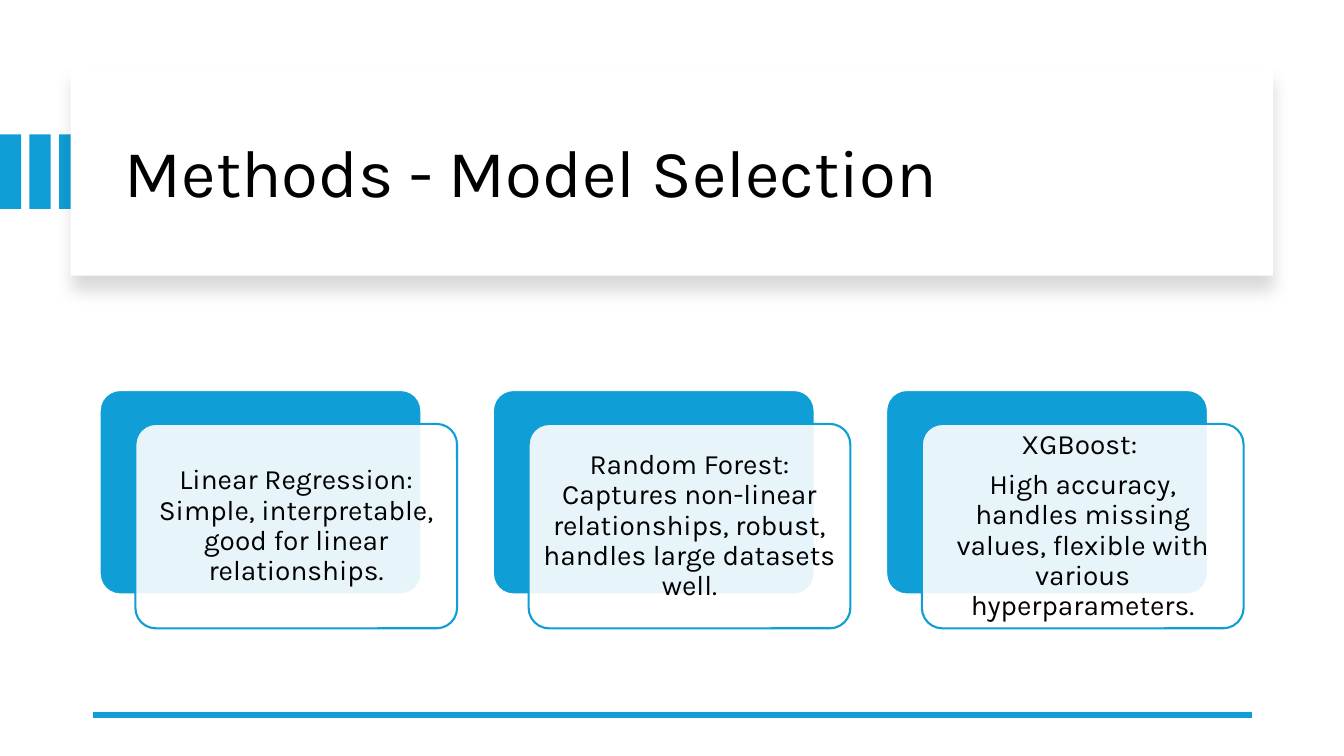
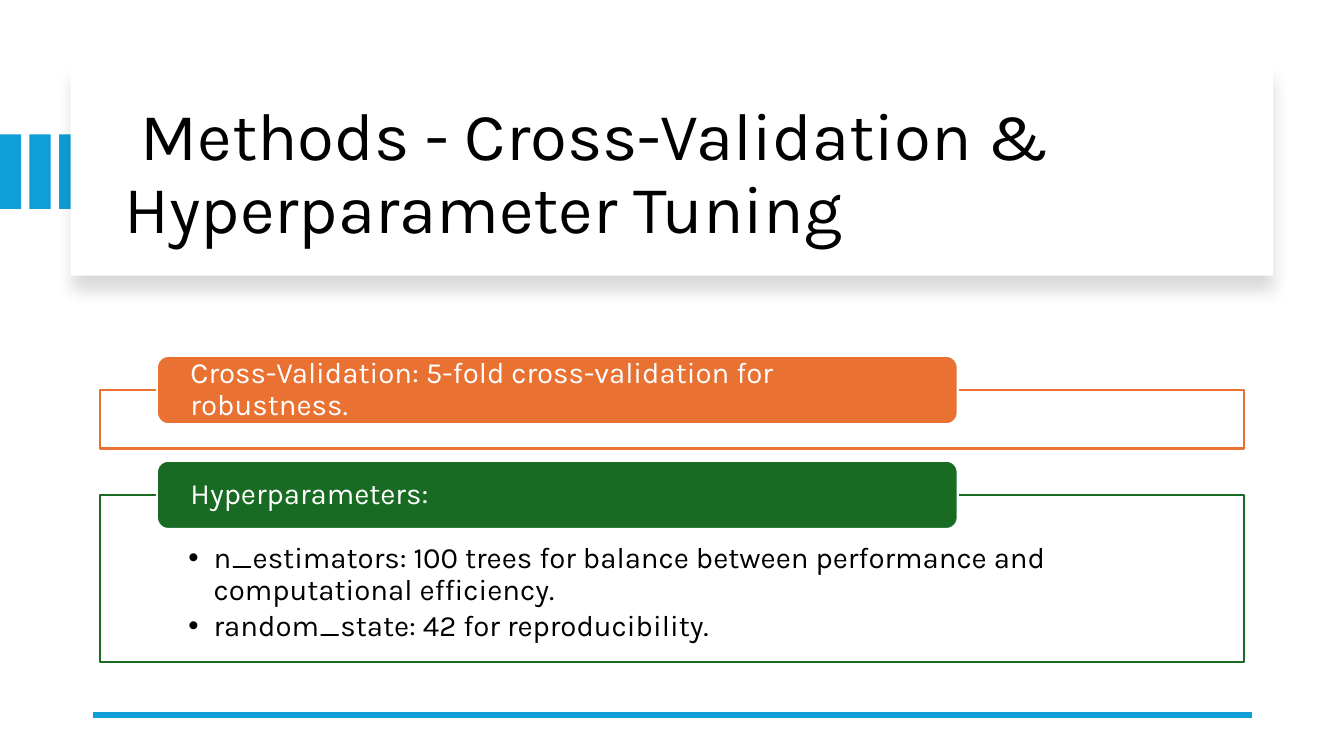
from lxml import etree
from pptx import Presentation
from pptx.dml.color import RGBColor
from pptx.enum.shapes import MSO_CONNECTOR, MSO_SHAPE
from pptx.enum.text import MSO_ANCHOR as Anchor, PP_ALIGN as Align
from pptx.oxml.ns import qn
from pptx.util import Pt

BLUE = RGBColor(0x0F, 0x9E, 0xD5)
ORANGE = RGBColor(0xE9, 0x71, 0x32)
GREEN = RGBColor(0x19, 0x6B, 0x24)
WHITE = RGBColor(0xFF, 0xFF, 0xFF)
BLACK = RGBColor(0x00, 0x00, 0x00)
FONT = "Karla"

TITLE_PANEL = (50.5, 48, 859, 149)
CONTENT_LEFT, CONTENT_TOP, CONTENT_WIDTH = 71.2, 278.6, 817.2

MODELS = [
    ["Linear Regression: Simple, interpretable, good for linear relationships."],
    ["Random Forest: Captures non-linear relationships, robust, "
     "handles large datasets well."],
    ["XGBoost: ",
     "High accuracy, handles missing values, flexible with various hyperparameters."],
]
SECTIONS = [
    ("Cross-Validation: 5-fold cross-validation for robustness.", [], ORANGE, 41.8),
    ("Hyperparameters:",
     ["n_estimators: 100 trees for balance between performance and "
      "computational efficiency.",
      "random_state: 42 for reproducibility."], GREEN, 119.5),
]


def add_xml(parent, tag, **attributes):
    return etree.SubElement(parent, qn(tag), attributes)


def set_text(shape, paragraphs, size, color=BLACK, align=Align.LEFT,
             anchor=Anchor.MIDDLE, insets=(7.2, 3.6, 7.2, 3.6),
             space_after=0, bullet=False):
    frame = shape.text_frame
    frame.word_wrap = True
    frame.vertical_anchor = anchor
    (frame.margin_left, frame.margin_top,
     frame.margin_right, frame.margin_bottom) = map(Pt, insets)
    for index, text in enumerate(paragraphs):
        paragraph = frame.add_paragraph() if index else frame.paragraphs[0]
        paragraph.alignment = align
        paragraph.line_spacing = 0.9
        paragraph.space_after = Pt(space_after)
        if bullet:
            properties = paragraph._p.get_or_add_pPr()
            properties.set("marL", str(Pt(18)))
            properties.set("indent", str(Pt(-18)))
            add_xml(properties, "a:buFont", typeface="Arial")
            add_xml(properties, "a:buChar", char="•")
        run = paragraph.add_run()
        run.text = text
        run.font.name = FONT
        run.font.size = Pt(size)
        run.font.color.rgb = color


def add_box(slide, box, fill, line=None, kind=MSO_SHAPE.RECTANGLE,
            opacity=100, corner=None):
    shape = slide.shapes.add_shape(kind, *map(Pt, box))
    shape.shadow.inherit = False
    shape.fill.solid()
    shape.fill.fore_color.rgb = fill
    if opacity < 100:
        color = shape._element.spPr.find(qn("a:solidFill"))[0]
        add_xml(color, "a:alpha", val=str(opacity * 1000))
    if line is None:
        shape.line.fill.background()
    else:
        shape.line.color.rgb = line
        shape.line.width = Pt(1.5)
    if corner is not None:
        shape.adjustments[0] = corner
    return shape


def add_soft_shadow(shape):
    effects = shape._element.spPr.find(qn("a:effectLst"))
    shadow = add_xml(effects, "a:outerShdw", blurRad=str(Pt(11)),
                     dist=str(Pt(10)), dir="5400000", algn="t", rotWithShape="0")
    color = add_xml(shadow, "a:srgbClr", val=str(BLACK))
    add_xml(color, "a:alpha", val="15000")


def add_title(slide, title, box):
    """Blue bars running under a shadowed panel that holds the title."""
    left, top, width, height = box
    for index in range(3):
        add_box(slide, (index * 21.1, top + 48, 15.2, 53.2), BLUE)
    add_soft_shadow(add_box(slide, box, WHITE))
    heading = slide.shapes.add_textbox(
        Pt(left + 31.6), Pt(top + 16), Pt(width - 57.5), Pt(height - 26.6))
    set_text(heading, [title], 48)


def add_footer_rule(slide, left=66.2, right=894.2, y=510.5):
    rule = slide.shapes.add_connector(
        MSO_CONNECTOR.STRAIGHT, Pt(left), Pt(y), Pt(right), Pt(y))
    rule.line.color.rgb = BLUE
    rule.line.width = Pt(4.5)
    add_xml(rule._element.spPr, "a:effectLst")


def add_model_card(slide, paragraphs, box):
    """A blue card with a translucent text card shifted down and right."""
    left, top, width, height = box
    style = dict(kind=MSO_SHAPE.ROUNDED_RECTANGLE, corner=0.1)
    add_box(slide, box, BLUE, WHITE, **style)
    front = add_box(slide, (left + 25.5, top + 24.2, width, height),
                    WHITE, BLUE, opacity=90, **style)
    set_text(front, paragraphs, 20, align=Align.CENTER,
             insets=(6, 6, 6, 6), space_after=7)


def add_section(slide, heading, bullets, color, box):
    """An outlined frame whose filled heading straddles its top edge."""
    left, top, width, height = box
    frame = add_box(slide, box, WHITE, color, opacity=90)
    if bullets:
        set_text(frame, bullets, 21, anchor=Anchor.TOP,
                 insets=(63.4, 34.6, 63.4, 11.5), space_after=3.15, bullet=True)
    tab = add_box(slide, (left + 40.9, top - 24.4, width * 0.7, 48.8),
                  color, WHITE, kind=MSO_SHAPE.ROUNDED_RECTANGLE)
    set_text(tab, [heading], 21, WHITE, insets=(21.6, 0, 21.6, 0),
             space_after=7.35)


def add_titled_slide(deck, title):
    slide = deck.slides.add_slide(deck.slide_layouts[6])
    add_title(slide, title, TITLE_PANEL)
    add_footer_rule(slide)
    return slide


def build_model_slide(deck):
    slide = add_titled_slide(deck, "Methods - Model Selection")
    for index, paragraphs in enumerate(MODELS):
        add_model_card(slide, paragraphs,
                       (CONTENT_LEFT + index * 280.9, CONTENT_TOP, 229.8, 146))


def build_tuning_slide(deck):
    slide = add_titled_slide(
        deck, " Methods - Cross-Validation & Hyperparameter Tuning")
    top = CONTENT_TOP
    for heading, bullets, color, height in SECTIONS:
        add_section(slide, heading, bullets, color,
                    (CONTENT_LEFT, top, CONTENT_WIDTH, height))
        top += height + 33.1


def main():
    deck = Presentation()
    deck.slide_width, deck.slide_height = Pt(960), Pt(540)
    build_model_slide(deck)
    build_tuning_slide(deck)
    deck.save("out.pptx")


if __name__ == "__main__":
    main()
